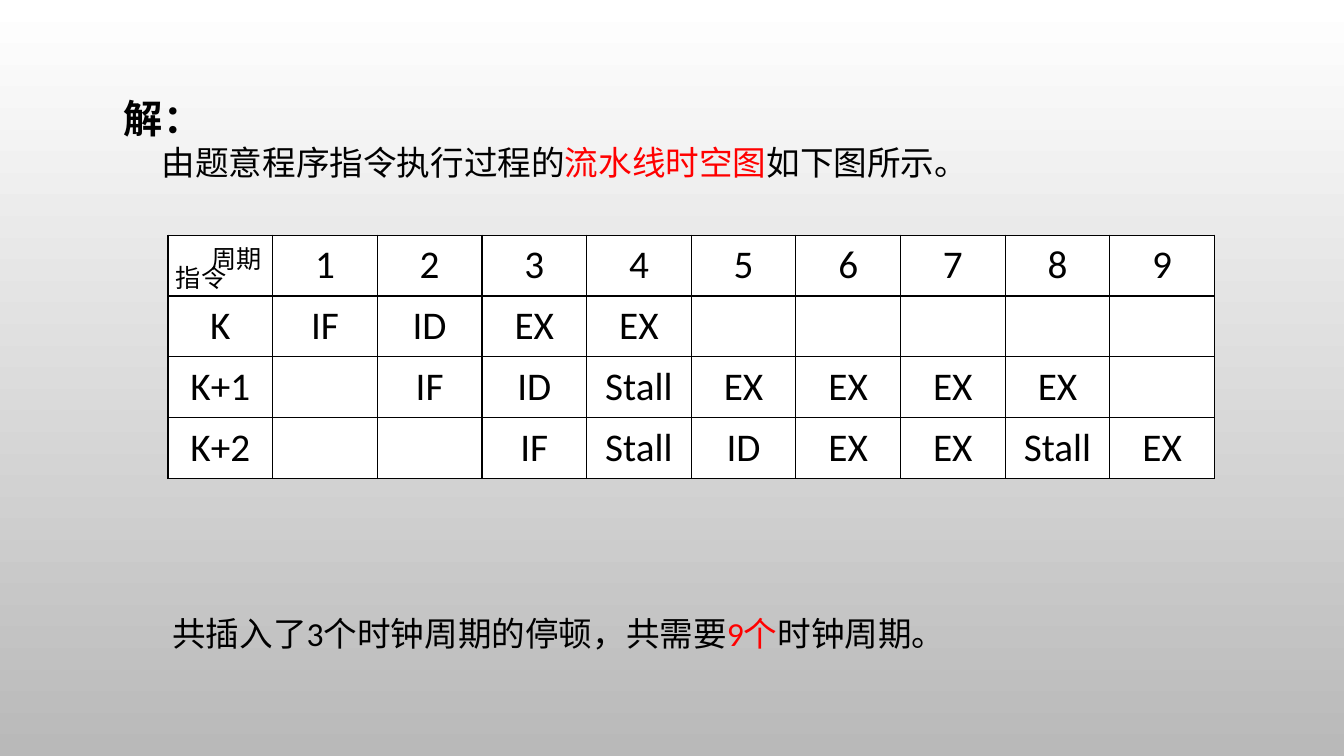
"""Build the slide with the pipeline space-time table and its answer."""
from lxml.etree import SubElement
from pptx import Presentation
from pptx.dml.color import RGBColor
from pptx.enum.text import MSO_ANCHOR as Anchor, MSO_AUTO_SIZE as AutoSize, PP_ALIGN as Align
from pptx.oxml.ns import qn
from pptx.util import Pt

BLACK, WHITE, RED = "000000", "FFFFFF", "FF0000"


def color(value):
    return RGBColor.from_string(value)


def add_text(left, top, width, height, lines, wrap=True):
    frame = slide.shapes.add_textbox(Pt(left), Pt(top), Pt(width), Pt(height)).text_frame
    frame.word_wrap = wrap
    frame.auto_size = AutoSize.SHAPE_TO_FIT_TEXT
    for number, (size, bold, indent, pieces) in enumerate(lines):
        paragraph = frame.add_paragraph() if number else frame.paragraphs[0]
        paragraph.font.size, paragraph.font.bold = Pt(size), bold
        paragraph.font.name = "Calibri"
        if indent:
            paragraph._p.get_or_add_pPr().set("indent", str(Pt(indent)))
        for words, ink in pieces:
            run = paragraph.add_run()
            run.text = words
            run.font.color.rgb = color(ink)


deck = Presentation()
deck.slide_width, deck.slide_height = Pt(960), Pt(540)
slide = deck.slides.add_slide(deck.slide_layouts[6])

backdrop = slide.background.fill
backdrop.gradient()
backdrop.gradient_angle = 270
for stop, position, shade in zip(backdrop.gradient_stops, (0, 1), (WHITE, "B9B9B9")):
    stop.position = position
    stop.color.rgb = color(shade)

add_text(81.5, 64, 792, 70.5, [
    (28, True, 0, [("解：", BLACK)]),
    (24, False, 27, [("由题意程序指令执行过程的", BLACK), ("流水线时空图", RED),
                     ("如下图所示。", BLACK)]),
])
add_text(116, 434, 738, 36, [
    (24, False, 0, [("共插入了3个时钟周期的停顿，共需要", BLACK), ("9个", RED),
                    ("时钟周期。", BLACK)]),
])

schedule = [
    ["", *"123456789"],
    ["K", "IF", "ID", "EX", "EX", "", "", "", "", ""],
    ["K+1", "", "IF", "ID", "Stall", "EX", "EX", "EX", "EX", ""],
    ["K+2", "", "", "IF", "Stall", "ID", "EX", "EX", "Stall", "EX"],
]
pipeline = slide.shapes.add_table(len(schedule), len(schedule[0]),
                                  Pt(120), Pt(168), Pt(747.5), Pt(173.6)).table
pipeline.first_row = pipeline.horz_banding = False
for column in pipeline.columns:
    column.width = Pt(74.75)
for row, stages in zip(pipeline.rows, schedule):
    row.height = Pt(43.4)
    for cell, stage in zip(row.cells, stages):
        cell.vertical_anchor = Anchor.MIDDLE
        for side in ("lnL", "lnR", "lnT", "lnB"):
            border = SubElement(cell._tc.get_or_add_tcPr(), qn(f"a:{side}"), w=str(Pt(1)))
            SubElement(SubElement(border, qn("a:solidFill")), qn("a:srgbClr"), val=BLACK)
        cell.fill.solid()
        cell.fill.fore_color.rgb = color(WHITE)
        cell.text = stage
        paragraph = cell.text_frame.paragraphs[0]
        paragraph.alignment = Align.CENTER
        paragraph.font.size, paragraph.font.name = Pt(28), "Calibri"
        paragraph.font.color.rgb = color(BLACK)

for left, top, heading in ((118.5, 184, "指令"), (144, 170, "周期")):
    add_text(left, top, 51, 29, [(18, False, 0, [(heading, BLACK)])], wrap=False)

deck.save("out.pptx")
